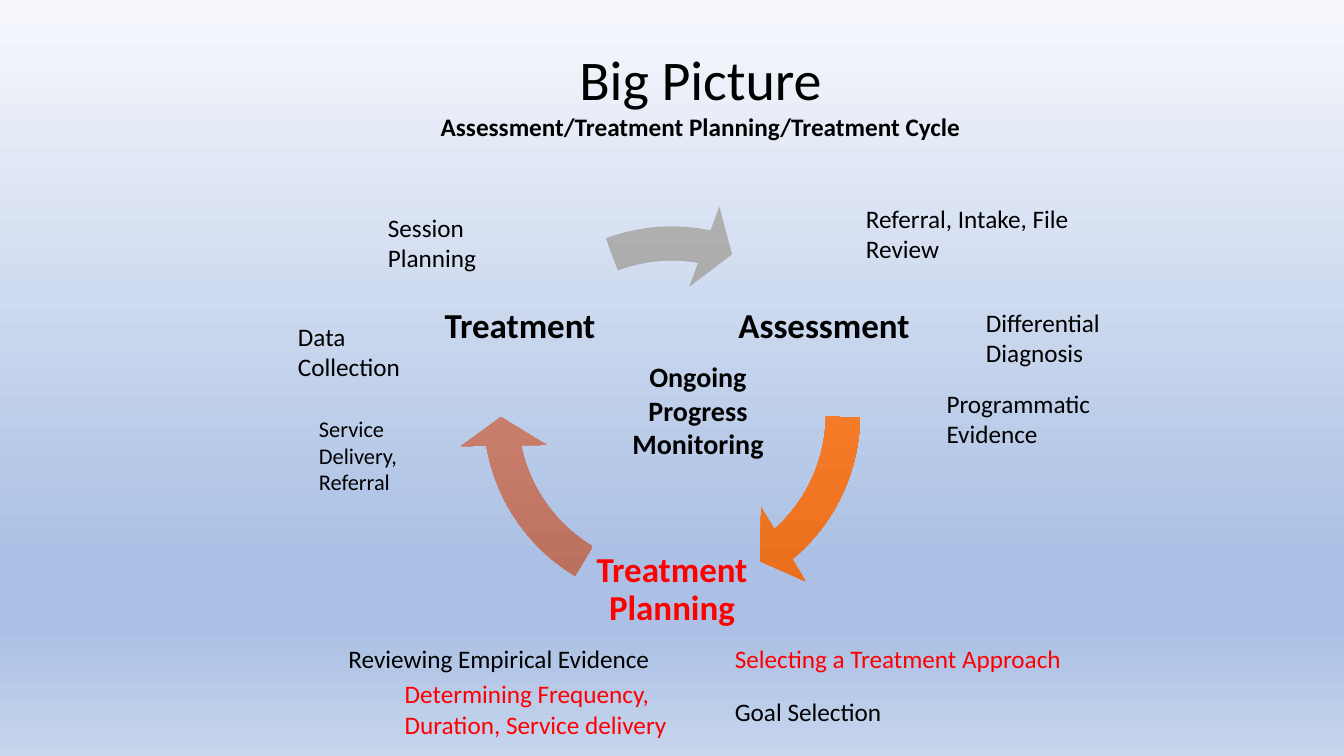
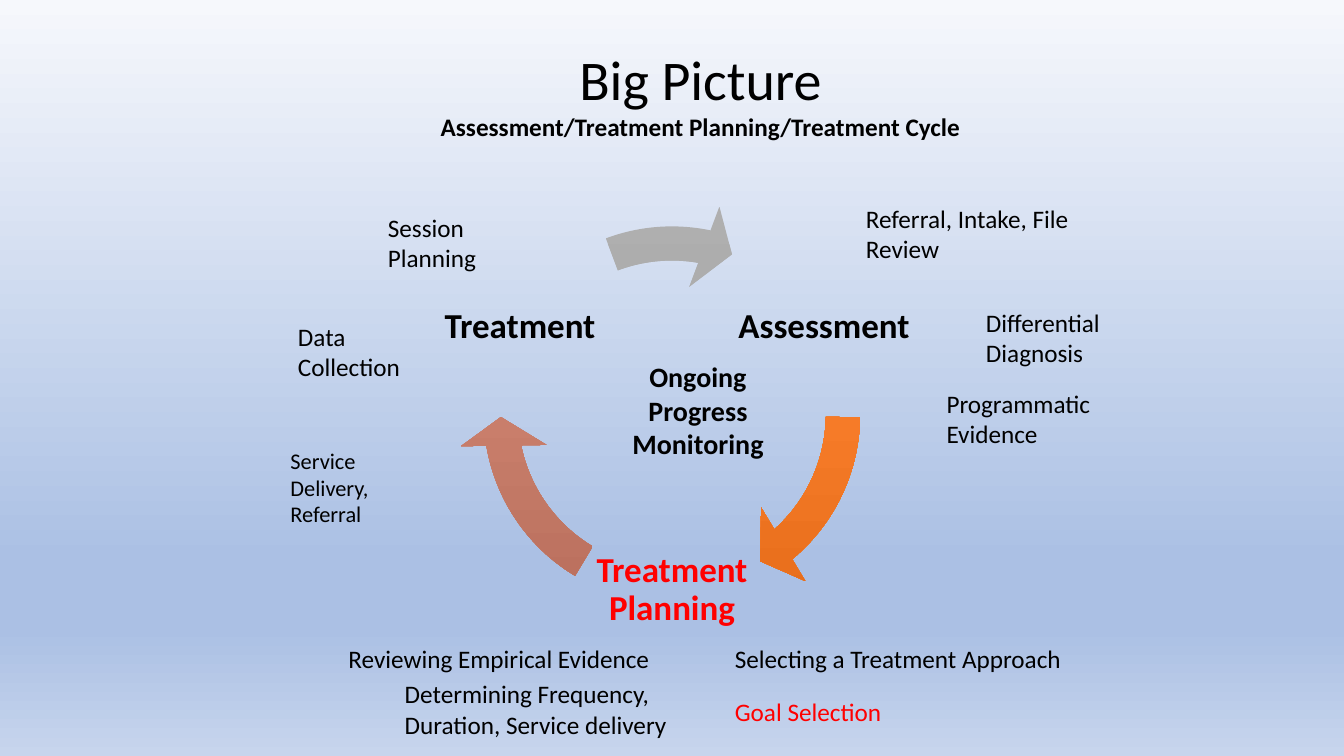
from math import cos, radians, sin

from pptx import Presentation, util as u
from pptx.dml.color import RGBColor
from pptx.enum import shapes, text
from pptx.oxml.ns import qn
from lxml import etree

COLUMNS, ROWS = 160, 90
CELL = u.Inches(7.5) / ROWS
FONT = "Calibri"
BLACK, RED = "000000", "FF0000"
BACKGROUND = [(0, "F6F8FC"), (74, "ABC0E4"), (83, "ABC0E4"), (100, "C7D5ED")]

CENTER_COLUMN, CENTER_ROW = 80, 49.35
PHASE_RADIUS, PHASE_SIZE, RING_SIZE = 20.9, 21.5, 50.9
PHASES = [
    ("Assessment", -30, BLACK),
    ("Treatment Planning", 90, RED),
    ("Treatment", 210, BLACK),
]
ARROWS = [
    (0.86, 49.4, ["F18C57", "F67B28", "E56C19"]),
    (121, 169.54, ["CB8F81", "C97E6B", "B76D5B"]),
    (249.45, 280.95, ["AFAFAF", "A5A5A5", "939393"]),
]
TITLE = [("Big Picture", 40, False),
         ("Assessment/Treatment Planning/Treatment Cycle", 18, True)]
STEPS = [
    ("Referral, Intake, File Review", 101.9, 23.6, 28.7, 2),
    ("Differential Diagnosis", 116.2, 36, 19.9, 2),
    ("Reviewing Empirical Evidence", 40.3, 76, 43.1, 1),
    ("Programmatic Evidence", 111.5, 45.6, 21, 2),
    ("Selecting a Treatment Approach", 86.3, 76, 46.2, 1),
    ("Determining Frequency, Duration, Service delivery", 47, 80.2, 39.2, 2),
    ("Session Planning", 45, 24.7, 16.9, 2),
    ("Data Collection", 34.3, 37.6, 16.8, 2),
    ("Goal Selection", 86.3, 82.3, 37.8, 1),
]
SLIDES = [
    ({"Selecting a Treatment Approach",
      "Determining Frequency, Duration, Service delivery"}, (36.8, 48.8)),
    ({"Goal Selection"}, (33.4, 52.6)),
]


def color(value):
    return RGBColor.from_string(value)


def cells(*lengths):
    return [u.Emu(round(length * CELL)) for length in lengths]


def centered(column, row, size):
    return column - size / 2, row - size / 2, size, size


def text_height(*line_sizes):
    return 1.2 + 0.2033 * sum(line_sizes)


def paint_gradient(fill, element, stops):
    fill.gradient()
    fill.gradient_angle = 270
    stop_list = next(element.iter(qn("a:gsLst")))
    for stop in list(stop_list):
        stop_list.remove(stop)
    for position, value in stops:
        stop = etree.SubElement(stop_list, qn("a:gs"), pos=str(position * 1000))
        etree.SubElement(stop, qn("a:srgbClr"), val=value)


def add_text(slide, box, lines, ink=BLACK, align=text.PP_ALIGN.LEFT):
    shape = slide.shapes.add_textbox(*cells(*box))
    frame = shape.text_frame
    frame.word_wrap = True
    frame.auto_size = text.MSO_AUTO_SIZE.SHAPE_TO_FIT_TEXT
    for index, (words, size, bold) in enumerate(lines):
        paragraph = frame.add_paragraph() if index else frame.paragraphs[0]
        paragraph.text = words
        paragraph.alignment = align
        paragraph.font.name = FONT
        paragraph.font.size = u.Pt(size)
        paragraph.font.bold = bold
        paragraph.font.color.rgb = color(ink)
    return frame


def add_phase(slide, name, angle, ink):
    column = CENTER_COLUMN + PHASE_RADIUS * cos(radians(angle))
    row = CENTER_ROW + PHASE_RADIUS * sin(radians(angle))
    frame = add_text(slide, centered(column, row, PHASE_SIZE),
                     [(name, 25, True)], ink, text.PP_ALIGN.CENTER)
    frame.auto_size = text.MSO_AUTO_SIZE.NONE
    frame.vertical_anchor = text.MSO_ANCHOR.MIDDLE
    frame.margin_left = frame.margin_right = u.Inches(0.03)
    frame.margin_top = frame.margin_bottom = u.Inches(0.03)
    frame.paragraphs[0].line_spacing = 0.9


def add_arrow(slide, start, end, shades):
    box = centered(CENTER_COLUMN, CENTER_ROW, RING_SIZE)
    arrow = slide.shapes.add_shape(shapes.MSO_SHAPE.CIRCULAR_ARROW, *cells(*box))
    arrow.shadow.inherit = False
    arrow.line.fill.background()
    for index, value in enumerate([0.08, 9.6 * 0.6, end * 0.6, start * 0.6, 0.1]):
        arrow.adjustments[index] = value
    paint_gradient(arrow.fill, arrow._element, zip((0, 50, 100), shades))


def add_cycle_slide(presentation, highlighted, service_place):
    slide = presentation.slides.add_slide(presentation.slide_layouts[6])
    paint_gradient(slide.background.fill, slide._element, BACKGROUND)
    for phase, arrow in zip(PHASES, ARROWS):
        add_phase(slide, *phase)
        add_arrow(slide, *arrow)
    add_text(slide, (34.3, 4.7, 98.2, text_height(40, 18)), TITLE,
             align=text.PP_ALIGN.CENTER)
    add_text(slide, (71.6, 42.2, 23, text_height(20, 20, 20)),
             [("Ongoing Progress Monitoring", 20, True)],
             align=text.PP_ALIGN.CENTER)
    for words, column, row, width, line_count in STEPS:
        add_text(slide, (column, row, width, text_height(18 * line_count)),
                 [(words, 18, False)], RED if words in highlighted else BLACK)
    add_text(slide, (*service_place, 17.8, text_height(16, 16, 16)),
             [("Service Delivery, Referral", 16, False)])


def main():
    presentation = Presentation()
    presentation.slide_width, presentation.slide_height = cells(COLUMNS, ROWS)
    for highlighted, service_place in SLIDES:
        add_cycle_slide(presentation, highlighted, service_place)
    presentation.save("out.pptx")


if __name__ == "__main__":
    main()
